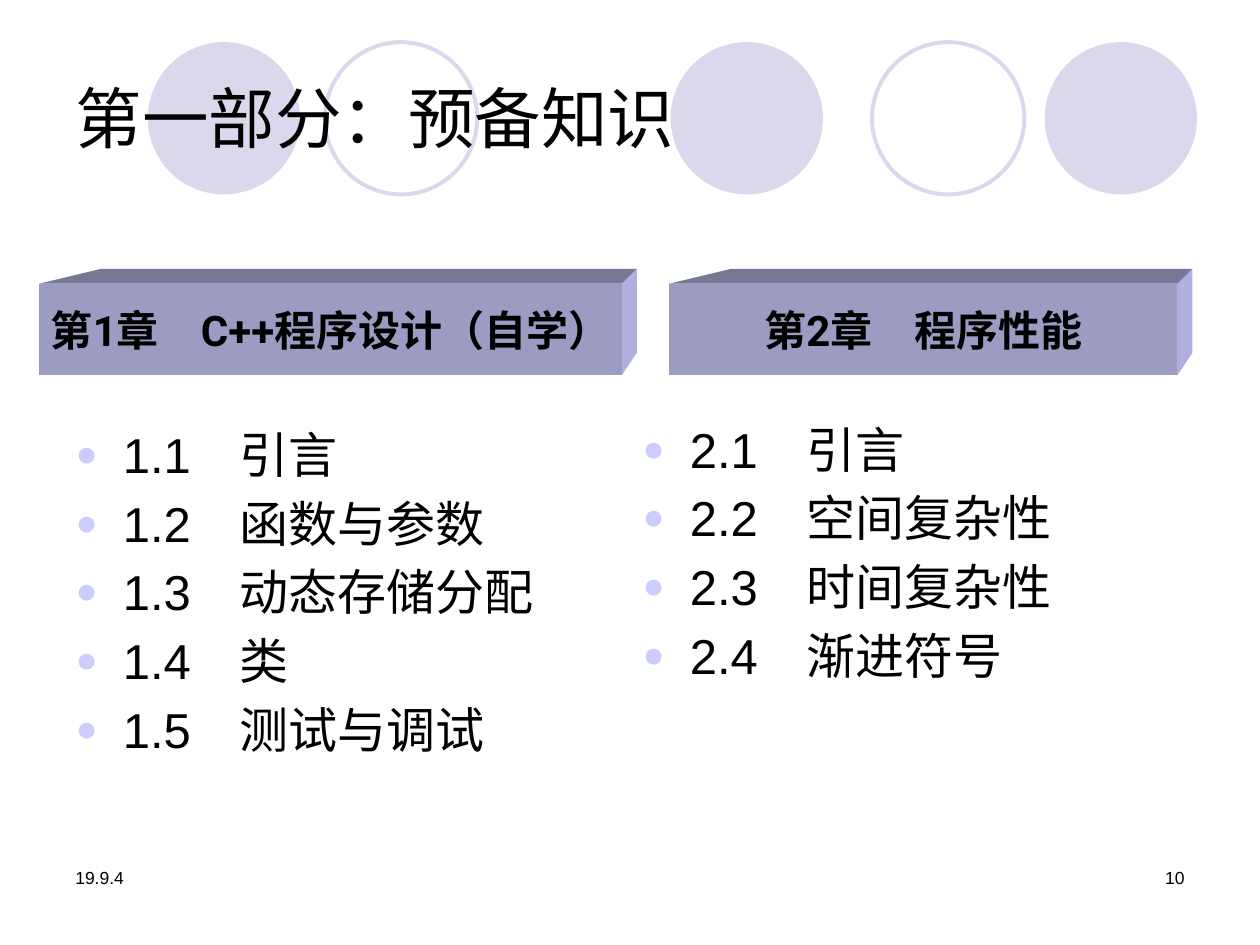
from pptx import Presentation
from pptx.dml.color import RGBColor
from pptx.enum.shapes import MSO_SHAPE as Shape
from pptx.enum.text import MSO_ANCHOR as Anchor, MSO_AUTO_SIZE as Fit, PP_ALIGN as Align
from pptx.oxml.ns import qn
from pptx.util import Cm, Pt
from lxml.etree import SubElement

BLACK = RGBColor(0x00, 0x00, 0x00)
PALE = RGBColor(0xD9, 0xD8, 0xEC)
FRONT = RGBColor(0x9C, 0x9B, 0xC2)
TOP = RGBColor(0x78, 0x77, 0x95)
SIDE = RGBColor(0xB0, 0xAF, 0xDD)
DOT = RGBColor(0xCC, 0xCC, 0xFF)


class Deck:
    font = "Arial"
    bold = "Roboto"

    def __init__(self, slide):
        self.slide = slide
        self.shapes = slide.shapes

    def place(self, shape, left, top, width, height):
        shape.left, shape.top = Cm(left), Cm(top)
        shape.width, shape.height = Cm(width), Cm(height)

    def style(self, frame, size, align=Align.LEFT, font=font, bold=False):
        for para in frame.paragraphs:
            para.alignment = align
            for run in para.runs:
                run.font.name = font
                run.font.size = Pt(size)
                run.font.bold = bold
                run.font.color.rgb = BLACK

    def paint(self, shape, fill):
        shape.shadow.inherit = False
        shape.fill.solid()
        shape.fill.fore_color.rgb = fill
        shape.line.fill.background()

    def circle(self, left, solid):
        disc = self.shapes.add_shape(Shape.OVAL, Cm(left), Cm(0.85), Cm(3.07), Cm(3.07))
        self.paint(disc, PALE)
        if not solid:
            disc.fill.background()
            disc.line.color.rgb = PALE
            disc.line.width = Pt(2.25)

    def title(self, text):
        box = self.shapes.title
        self.place(box, 1.27, 0.76, 22.86, 3.18)
        frame = box.text_frame
        frame.text = text
        frame.auto_size = Fit.NONE
        frame.vertical_anchor = Anchor.MIDDLE
        self.style(frame, 38)

    def bullets(self, index, area, items):
        box = self.slide.placeholders[index]
        self.place(box, *area)
        frame = box.text_frame
        frame.text = "\n".join(items)
        frame.auto_size = Fit.NONE
        self.style(frame, 28)
        for para in frame.paragraphs:
            props = para._p.get_or_add_pPr()
            tint = SubElement(props, qn("a:buClr"))
            SubElement(tint, qn("a:srgbClr"), val=str(DOT))
            SubElement(props, qn("a:buSzPct"), val="75000")
            SubElement(props, qn("a:buChar"), char="●")

    def face(self, points, fill):
        points = [(Cm(x), Cm(y)) for x, y in points]
        pen = self.shapes.build_freeform(*points[0])
        pen.add_line_segments(points[1:])
        self.paint(pen.convert_to_shape(), fill)

    def block(self, left, width, text, top=5.72, height=1.84):
        right, base = left + width, top + height
        depth, skew = 0.3, 1.25
        back, edge = top - depth, right + depth
        # Top and side faces give the block its depth
        self.face([(left, top), (left + skew, back), (edge, back), (right, top)], TOP)
        self.face([(right, top), (edge, back), (edge, base - 0.45), (right, base)], SIDE)
        front = self.shapes.add_shape(
            Shape.RECTANGLE, Cm(left), Cm(top), Cm(width), Cm(height))
        self.paint(front, FRONT)
        frame = front.text_frame
        frame.text = text
        frame.word_wrap = False
        frame.vertical_anchor = Anchor.MIDDLE
        self.style(frame, 24, Align.CENTER, self.bold, True)

    def note(self, left, text, align):
        box = self.shapes.add_textbox(Cm(left), Cm(17.35), Cm(5.92), Cm(1.27))
        frame = box.text_frame
        frame.word_wrap = True
        frame.text = text
        self.style(frame, 10, align)


def main():
    prs = Presentation()
    prs.slide_width, prs.slide_height = Cm(25.4), Cm(19.05)
    deck = Deck(prs.slides.add_slide(prs.slide_layouts[3]))

    # Row of circles behind the title
    for left, solid in [(2.98, True), (6.55, False), (13.52, True),
                        (17.58, False), (21.06, True)]:
        deck.circle(left, solid)
    tree = deck.shapes._spTree
    for holder in list(deck.slide.placeholders):
        tree.append(holder._element)

    # Title and lists
    deck.title("第一部分：预备知识")
    deck.bullets(1, (1.27, 8.43, 11.46, 7.29), [
        "1.1　引言", "1.2　函数与参数", "1.3　动态存储分配",
        "1.4　类", "1.5　测试与调试"])
    deck.bullets(2, (12.7, 8.32, 12.19, 8.2), [
        "2.1　引言", "2.2　空间复杂性", "2.3　时间复杂性", "2.4　渐进符号"])

    # Chapter headings
    deck.block(0.79, 11.75, "第1章　C++程序设计（自学）")
    deck.block(13.49, 10.25, "第2章　程序性能")

    # Date and page number
    deck.note(1.27, "19.9.4", Align.LEFT)
    deck.note(18.21, "10", Align.RIGHT)

    prs.save("out.pptx")


if __name__ == "__main__":
    main()
